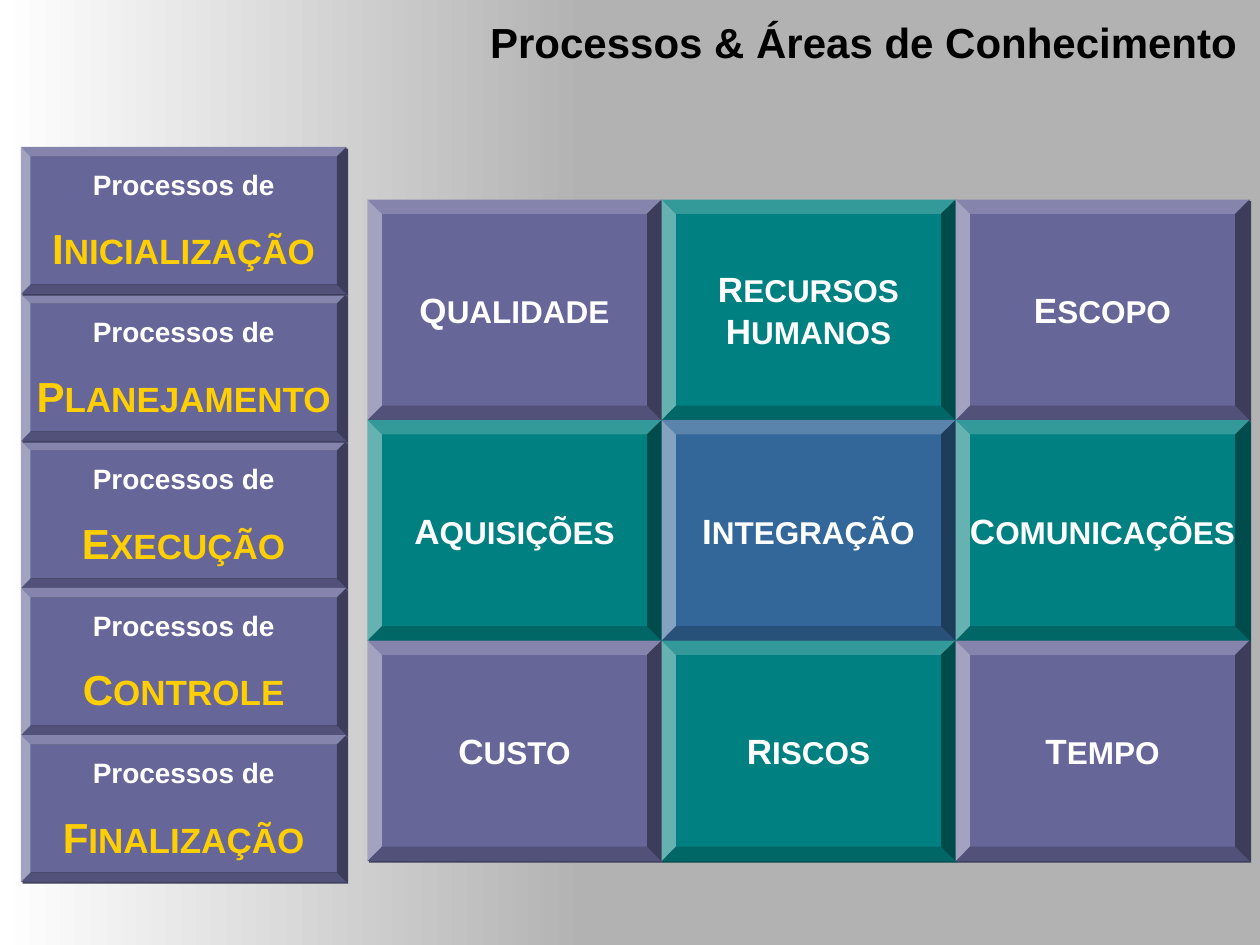
import pptx
import pptx.dml.color
import pptx.enum.shapes
import pptx.enum.text
import pptx.oxml
import pptx.oxml.ns
import pptx.util

RGB = pptx.dml.color.RGBColor
WHITE = RGB(0xFF, 0xFF, 0xFF)
BLACK = RGB(0x00, 0x00, 0x00)
GRAY = RGB(0xB2, 0xB2, 0xB2)
YELLOW = RGB(0xFF, 0xCF, 0x01)
PURPLE = RGB(0x66, 0x66, 0x99)
TEAL = RGB(0x00, 0x80, 0x80)
BLUE = RGB(0x33, 0x66, 0x99)
SHADOWS = {
    PURPLE: RGB(0x3D, 0x3D, 0x5C),
    TEAL: RGB(0x00, 0x4D, 0x4D),
    BLUE: RGB(0x1F, 0x3D, 0x5C),
}

SHAPES = pptx.enum.shapes.MSO_SHAPE
ALIGN = pptx.enum.text.PP_ALIGN
PX = 7620  # EMU in one px, 120 px to the inch


def add_span(para, text, size, color=WHITE, font="Arial", bold=True):
    span = para.add_run()
    span.text = text
    span.font.name = font
    span.font.size = pptx.util.Pt(size)
    span.font.bold = bold
    span.font.color.rgb = color
    return span


def add_small_caps(para, word, large, small, color=WHITE):
    add_span(para, word[0], large, color)
    add_span(para, word[1:], small, color)


def shadow_xml(color):
    return (f'<a:outerShdw {pptx.oxml.ns.nsdecls("a")} dist="17780" dir="2700000" '
            f'algn="ctr" rotWithShape="0"><a:srgbClr val="{color}"/></a:outerShdw>')


class SlideWriter:
    def __init__(self, page, bevel=0.065):
        self.page = page
        self.bevel = bevel

    def background(self, color):
        fill = self.page.background.fill
        fill.solid()
        fill.fore_color.rgb = color

    def gradient_band(self, left, top, width, height, colors):
        band = self.shape(SHAPES.RECTANGLE, left, top, width, height)
        band.fill.gradient()
        band.fill.gradient_angle = 0
        for stop, color in zip(band.fill.gradient_stops, colors):
            stop.color.rgb = color

    def shape(self, kind, left, top, width, height):
        shape = self.page.shapes.add_shape(
            kind, left * PX, top * PX, width * PX, height * PX)
        shape.shadow.inherit = False
        shape.line.fill.background()
        return shape

    def tile(self, left, top, width, height, color):
        """Add a bevelled tile and return its text frame."""
        tile = self.shape(SHAPES.BEVEL, left, top, width, height)
        tile.adjustments[0] = self.bevel
        tile.fill.solid()
        tile.fill.fore_color.rgb = color
        effects = tile.element.spPr.find(pptx.oxml.ns.qn("a:effectLst"))
        effects.append(pptx.oxml.parse_xml(shadow_xml(SHADOWS[color])))
        frame = tile.text_frame
        frame.word_wrap = False
        frame.vertical_anchor = pptx.enum.text.MSO_ANCHOR.MIDDLE
        frame.paragraphs[0].alignment = ALIGN.CENTER
        return frame

    def area(self, left, top, width, height, color, words):
        frame = self.tile(left, top, width, height, color)
        for index, word in enumerate(words.split()):
            para = frame.add_paragraph() if index else frame.paragraphs[0]
            para.alignment = ALIGN.CENTER
            add_small_caps(para, word, 20, 18)

    def process(self, left, top, width, height, word):
        frame = self.tile(left, top, width, height, PURPLE)
        add_span(frame.paragraphs[0], "Processos de", 16)
        para = frame.add_paragraph()
        para.alignment = ALIGN.CENTER
        para.space_before = pptx.util.Pt(12.5)
        add_small_caps(para, word, 24, 20, YELLOW)

    def title(self, left, top, width, height, text):
        box = self.page.shapes.add_textbox(
            left * PX, top * PX, width * PX, height * PX)
        box.text_frame.word_wrap = True
        para = box.text_frame.paragraphs[0]
        para.alignment = ALIGN.RIGHT
        span = add_span(para, text, 24, BLACK)
        effects = pptx.oxml.parse_xml(
            f'<a:effectLst {pptx.oxml.ns.nsdecls("a")}>{shadow_xml(BLACK)}</a:effectLst>')
        fill = span.font.fill
        fill.solid()
        fill.fore_color.rgb = BLACK
        span.font._element.find(pptx.oxml.ns.qn("a:solidFill")).addnext(effects)


def main():
    deck = pptx.Presentation()
    deck.slide_width = 1200 * PX
    deck.slide_height = 900 * PX
    writer = SlideWriter(deck.slides.add_slide(deck.slide_layouts[6]))

    # Background
    writer.background(GRAY)
    writer.gradient_band(0, 0, 560, 900, (WHITE, GRAY))

    # Knowledge areas, three by three
    areas = [
        ("QUALIDADE", PURPLE), ("RECURSOS HUMANOS", TEAL), ("ESCOPO", PURPLE),
        ("AQUISIÇÕES", TEAL), ("INTEGRAÇÃO", BLUE), ("COMUNICAÇÕES", TEAL),
        ("CUSTO", PURPLE), ("RISCOS", TEAL), ("TEMPO", PURPLE),
    ]
    for index, (words, color) in enumerate(areas):
        row, column = divmod(index, 3)
        writer.area(350 + 280 * column, 190 + 210 * row, 280, 210, color, words)

    # Process groups, from back to front with their row
    processes = [(2, "EXECUÇÃO"), (1, "PLANEJAMENTO"), (3, "CONTROLE"),
                 (0, "INICIALIZAÇÃO"), (4, "FINALIZAÇÃO")]
    for row, word in processes:
        writer.process(20, 140 + 140 * row, 310, 140, word)

    # Title
    writer.title(410, 10, 780, 60, "Processos & Áreas de Conhecimento")

    deck.save("out.pptx")


if __name__ == "__main__":
    main()
